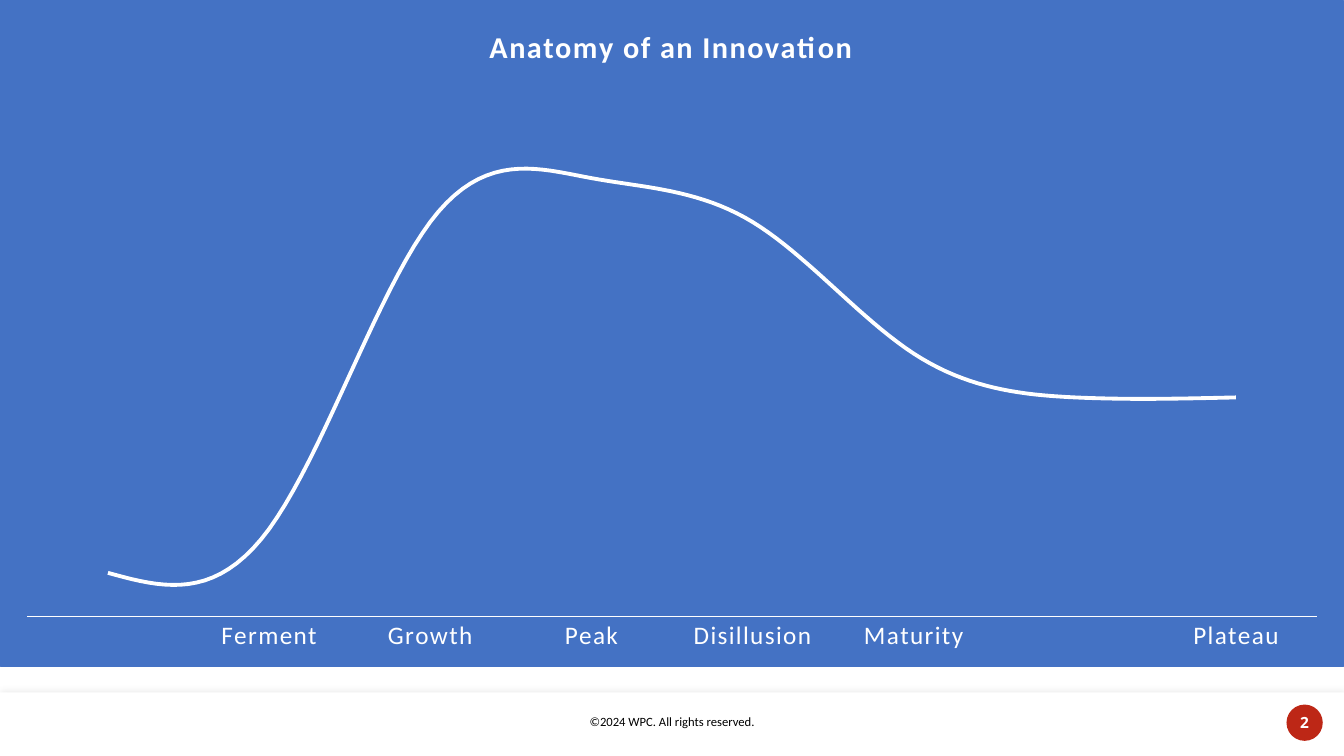
from lxml import etree
from pptx import Presentation
from pptx.chart.data import CategoryChartData
from pptx.dml.color import RGBColor
from pptx.enum.chart import XL_CHART_TYPE, XL_LEGEND_POSITION, XL_MARKER_STYLE, XL_TICK_MARK
from pptx.enum.shapes import MSO_SHAPE
from pptx.enum.text import MSO_ANCHOR, PP_ALIGN
from pptx.oxml import parse_xml
from pptx.oxml.ns import nsdecls, qn
from pptx.util import Inches, Pt

LINE_CHART = XL_CHART_TYPE.LINE
NO_MARKER = XL_MARKER_STYLE.NONE
NO_TICK = XL_TICK_MARK.NONE
RECTANGLE, OVAL = MSO_SHAPE.RECTANGLE, MSO_SHAPE.OVAL
MIDDLE, CENTER = MSO_ANCHOR.MIDDLE, PP_ALIGN.CENTER

WIDTH, HEIGHT = 13.33, 7.5
CHART_HEIGHT, FOOTER_TOP = 6.62, 6.87
BLUE, WHITE, BLACK, RED = "4472C4", "FFFFFF", "000000", "BD2716"
LETTER_SPACING = "100"

STAGES = ["", "Ferment", "Growth", "Peak", "Disillusion", "Maturity", "", "Plateau"]
ADOPTION = [10, 20, 90, 100, 90, 60, 50, 50]


def rgb(hex_color):
    return RGBColor.from_string(hex_color)


def style_font(font, color, **values):
    for name, value in values.items():
        setattr(font, name, value)
    font.color.rgb = rgb(color)


def set_layout(parent, position, **fractions):
    """Fix the place of a chart part, in fractions of the chart."""
    for old in parent.findall(qn("c:layout")):
        parent.remove(old)
    layout = parse_xml(f"<c:layout {nsdecls('c')}/>")
    manual = etree.SubElement(layout, qn("c:manualLayout"))
    settings = {"xMode": "edge", "yMode": "edge", **fractions}
    if "w" in fractions:
        settings = {"layoutTarget": "inner", **settings}
    for tag, value in settings.items():
        etree.SubElement(manual, qn(f"c:{tag}")).set("val", str(value))
    parent.insert(position, layout)


def add_innovation_chart(slide, left, top, width, height):
    data = CategoryChartData()
    data.categories = STAGES
    data.add_series("Series 1", ADOPTION)
    chart = slide.shapes.add_chart(
        LINE_CHART, Inches(left), Inches(top), Inches(width), Inches(height), data
    ).chart
    style_font(chart.font, BLACK, name="Calibri", size=Pt(18))
    chart.has_legend = False

    chart.has_title = True
    title = chart.chart_title
    title.text_frame.text = "Anatomy of an Innovation"
    title_font = title.text_frame.paragraphs[0].runs[0].font
    style_font(title_font, WHITE, name="Calibri", size=Pt(21.6), bold=True)

    stage_axis = chart.category_axis
    stage_axis.major_tick_mark = stage_axis.minor_tick_mark = NO_TICK
    stage_axis.has_major_gridlines = False
    stage_axis.format.line.color.rgb = rgb(WHITE)
    stage_axis.format.line.width = Pt(1)
    style_font(stage_axis.tick_labels.font, WHITE, name="Calibri", size=Pt(18))

    adoption_axis = chart.value_axis
    axis_values = {"minimum_scale": 0, "maximum_scale": 120,
                   "has_major_gridlines": False, "visible": False}
    for name, value in axis_values.items():
        setattr(adoption_axis, name, value)

    plot = chart.plots[0]
    plot.vary_by_categories = False
    curve = plot.series[0]
    curve.smooth = True
    curve.marker.style = NO_MARKER
    curve.format.line.color.rgb = rgb(WHITE)
    curve.format.line.width = Pt(2.75)

    root = chart.element
    for properties in root.xpath(".//c:title//a:rPr | .//c:catAx//a:defRPr"):
        properties.set("spc", LETTER_SPACING)
    set_layout(root.xpath(".//c:title")[0], 1, x=0.36, y=0.03)
    set_layout(root.xpath(".//c:plotArea")[0], 0, x=0.02, y=0.135, w=0.96, h=0.79)
    solid = f'<a:solidFill><a:srgbClr val="{BLUE}"/></a:solidFill>'
    root.find(qn("c:chart")).addnext(parse_xml(
        f"<c:spPr {nsdecls('c', 'a')}>{solid}"
        f'<a:ln w="{Pt(0.75)}">{solid}</a:ln></c:spPr>'
    ))


def add_plain_shape(slide, preset, color, *box):
    shape = slide.shapes.add_shape(preset, *map(Inches, box))
    shape.shadow.inherit = False
    shape.fill.solid()
    shape.fill.fore_color.rgb = rgb(color)
    shape.line.fill.background()
    return shape


def write_centered(frame, text, color, **font_values):
    paragraph = frame.paragraphs[0]
    paragraph.alignment = CENTER
    run = paragraph.add_run()
    run.text = text
    style_font(run.font, color, **font_values)


def add_footer(slide, left, top, width, height):
    band = add_plain_shape(slide, RECTANGLE, WHITE, left, top, width, height)
    effects = band.element.spPr.find(qn("a:effectLst"))
    effects.append(parse_xml(
        f'<a:outerShdw {nsdecls("a")} blurRad="{Pt(4)}" dist="{Pt(1)}" '
        f'dir="{270 * 60000}" algn="b" rotWithShape="0">'
        f'<a:srgbClr val="{BLACK}"><a:alpha val="10000"/></a:srgbClr></a:outerShdw>'
    ))

    notice_width = 2.58
    notice = slide.shapes.add_textbox(
        Inches(left + (width - notice_width) / 2), Inches(top + 0.16),
        Inches(notice_width), Inches(0.25),
    ).text_frame
    notice.word_wrap = True
    write_centered(notice, "©2024 WPC. All rights reserved.", BLACK,
                   name="Calibri", size=Pt(9))

    badge = add_plain_shape(slide, OVAL, RED,
                            left + width - 0.57, top + 0.12, 0.36, 0.36)
    frame = badge.text_frame
    frame_values = {"margin_left": 0, "margin_right": 0, "margin_top": Inches(0.05),
                    "margin_bottom": Inches(0.06), "vertical_anchor": MIDDLE}
    for name, value in frame_values.items():
        setattr(frame, name, value)
    write_centered(frame, "2", WHITE, name="Open Sans", size=Pt(11), bold=True)


def main():
    deck = Presentation()
    deck.slide_width, deck.slide_height = Inches(WIDTH), Inches(HEIGHT)
    slide = deck.slides.add_slide(deck.slide_layouts[6])
    add_footer(slide, 0, FOOTER_TOP, WIDTH, HEIGHT - FOOTER_TOP)
    add_innovation_chart(slide, 0, 0, WIDTH, CHART_HEIGHT)
    deck.save("out.pptx")


if __name__ == "__main__":
    main()
